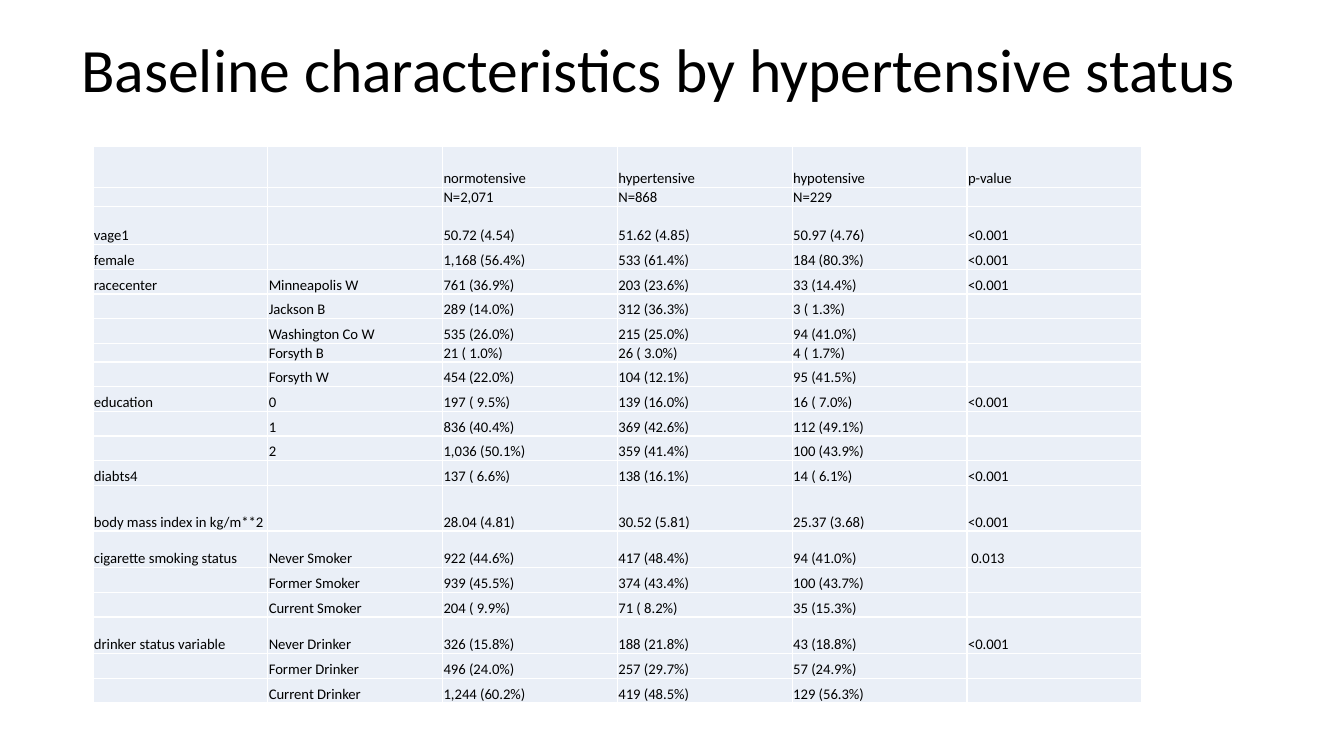
from dataclasses import dataclass

from lxml.etree import SubElement
from pptx import Presentation
from pptx.dml.color import RGBColor
from pptx.enum.text import MSO_ANCHOR as Anchor, PP_ALIGN as Align
from pptx.oxml.ns import qn
from pptx.slide import Slide
from pptx.table import _Cell as Cell
from pptx.text.text import _Paragraph as Para
from pptx.util import Emu, Pt

BLACK = RGBColor(0x00, 0x00, 0x00)
PALE = RGBColor(0xEA, 0xEF, 0xF7)
FONT = "Calibri"
BODY = 10.5
COL = 333
INSET = 2
TINY, LINE, GAP, TALL = 36, 47, 70, 87


def px(n: int) -> Emu:
    """Convert px, 192 to the inch, into EMU."""
    return Emu(n * 9525 // 2)


@dataclass(frozen=True)
class Row:
    label: str
    level: str
    normal: str
    hyper: str
    hypo: str
    p: str = ""
    height: int = LINE

    def texts(self) -> tuple[str, ...]:
        return self.label, self.level, self.normal, self.hyper, self.hypo, self.p


ROWS = [
    Row("", "", "normotensive", "hypertensive", "hypotensive", "p-value", 79),
    Row("", "", "N=2,071", "N=868", "N=229", height=TINY),
    Row("vage1", "", "50.72 (4.54)", "51.62 (4.85)", "50.97 (4.76)", "<0.001", 73),
    Row("female", "", "1,168 (56.4%)", "533 (61.4%)", "184 (80.3%)", "<0.001"),
    Row("racecenter", "Minneapolis W", "761 (36.9%)", "203 (23.6%)", "33 (14.4%)", "<0.001"),
    Row("", "Jackson B", "289 (14.0%)", "312 (36.3%)", "3 ( 1.3%)"),
    Row("", "Washington Co W", "535 (26.0%)", "215 (25.0%)", "94 (41.0%)"),
    Row("", "Forsyth B", "21 ( 1.0%)", "26 ( 3.0%)", "4 ( 1.7%)", height=TINY),
    Row("", "Forsyth W", "454 (22.0%)", "104 (12.1%)", "95 (41.5%)"),
    Row("education", "0", "197 ( 9.5%)", "139 (16.0%)", "16 ( 7.0%)", "<0.001"),
    Row("", "1", "836 (40.4%)", "369 (42.6%)", "112 (49.1%)"),
    Row("", "2", "1,036 (50.1%)", "359 (41.4%)", "100 (43.9%)"),
    Row("diabts4", "", "137 ( 6.6%)", "138 (16.1%)", "14 ( 6.1%)", "<0.001"),
    Row("body mass index in kg/m**2", "", "28.04 (4.81)", "30.52 (5.81)", "25.37 (3.68)",
        "<0.001", TALL),
    Row("cigarette smoking status", "Never Smoker", "922 (44.6%)", "417 (48.4%)",
        "94 (41.0%)", " 0.013", GAP),
    Row("", "Former Smoker", "939 (45.5%)", "374 (43.4%)", "100 (43.7%)"),
    Row("", "Current Smoker", "204 ( 9.9%)", "71 ( 8.2%)", "35 (15.3%)"),
    Row("drinker status variable", "Never Drinker", "326 (15.8%)", "188 (21.8%)",
        "43 (18.8%)", "<0.001", GAP),
    Row("", "Former Drinker", "496 (24.0%)", "257 (29.7%)", "57 (24.9%)"),
    Row("", "Current Drinker", "1,244 (60.2%)", "419 (48.5%)", "129 (56.3%)"),
]


def write(para: Para, text: str, size: float) -> None:
    """Set styled text; an empty paragraph still gets its size, so rows stay low."""
    para.text = text
    for run in para.runs:
        run.font.name = FONT
        run.font.size = Pt(size)
        run.font.color.rgb = BLACK
    if not text:
        SubElement(para._p, qn("a:endParaRPr"), sz=str(int(size * 100)))


def draw_title(slide: Slide, text: str) -> None:
    frame = slide.shapes.add_textbox(px(136), px(0), px(2339), px(278)).text_frame
    frame.word_wrap = True
    frame.vertical_anchor = Anchor.MIDDLE
    para = frame.paragraphs[0]
    write(para, text, 44)
    para.alignment = Align.LEFT
    para.line_spacing = 0.9


def fill_cell(cell: Cell, text: str) -> None:
    cell.margin_left = cell.margin_right = cell.margin_top = px(INSET)
    cell.margin_bottom = 0
    cell.vertical_anchor = Anchor.BOTTOM
    cell.fill.solid()
    cell.fill.fore_color.rgb = PALE
    write(cell.text_frame.paragraphs[0], text, BODY)


def draw_table(slide: Slide, rows: list[Row]) -> None:
    count = len(rows[0].texts())
    height = sum(row.height for row in rows)
    table = slide.shapes.add_table(
        len(rows), count, px(177), px(278), px(count * COL), px(height)).table
    table.first_row = table.horz_banding = False
    for col in table.columns:
        col.width = px(COL)
    for line, row in zip(table.rows, rows):
        line.height = px(row.height)
        for cell, text in zip(line.cells, row.texts()):
            fill_cell(cell, text)


def main() -> None:
    deck = Presentation()
    deck.slide_width, deck.slide_height = px(2560), px(1440)
    slide = deck.slides.add_slide(deck.slide_layouts[6])
    draw_table(slide, ROWS)
    draw_title(slide, "Baseline characteristics by hypertensive status")
    deck.save("out.pptx")


if __name__ == "__main__":
    main()
